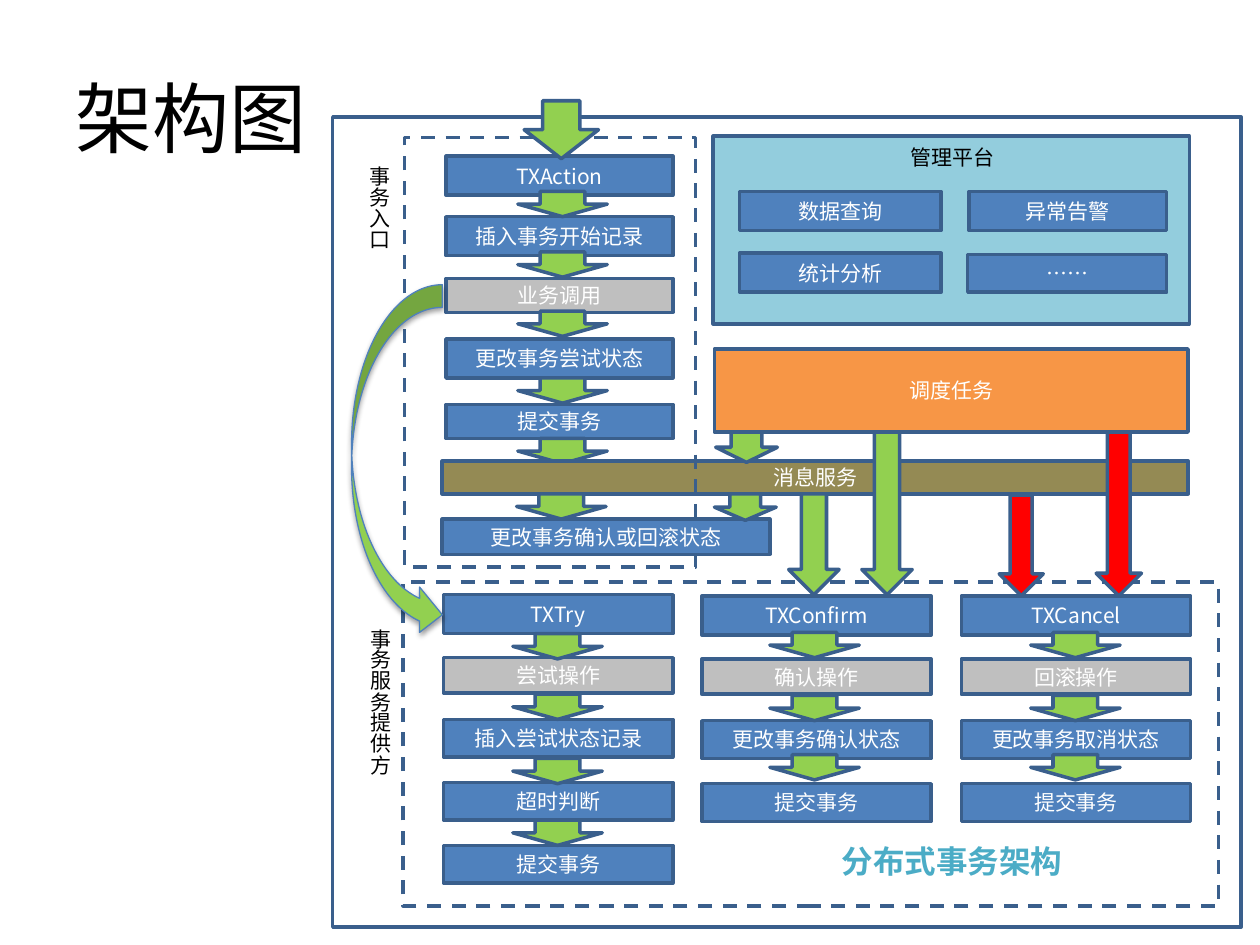
from lxml.etree import SubElement as Sub
from pptx import Presentation
from pptx.dml.color import RGBColor
from pptx.enum.dml import MSO_LINE as Dash
from pptx.enum.shapes import MSO_SHAPE as Kind
from pptx.enum.text import MSO_ANCHOR as Anchor, MSO_AUTO_SIZE as Fit, PP_ALIGN as Align
from pptx.oxml.ns import qn
from pptx.util import Pt

PX = 9144
FACE = "Noto Sans CJK SC"
BLUE, EDGE, GRAY = "4F81BD", "3A5F8C", "BFBFBF"
GREEN, RED, WHITE, BLACK = "92D050", "FF0000", "FFFFFF", "000000"

# Each flow: left, width, arrow left, rows of (text, top, height, fill), arrow tops
FLOWS = [
    (354, 180, 411,
     [("TXAction", 124, 31, BLUE), ("插入事务开始记录", 172, 31, BLUE),
      ("业务调用", 221, 27, GRAY), ("更改事务尝试状态", 269, 31, BLUE),
      ("提交事务", 321, 27, BLUE)],
     [152, 200, 247, 300, 348]),
    (352, 182, 407,
     [("TXTry", 472, 31, BLUE), ("尝试操作", 522, 28, GRAY),
      ("插入尝试状态记录", 571, 30, BLUE), ("超时判断", 621, 30, BLUE),
      ("提交事务", 671, 30, BLUE)],
     [503, 551, 602, 651]),
]
ENDS = [(557, 611, "TXConfirm", "确认操作", "更改事务确认状态"),
        (763, 818, "TXCancel", "回滚操作", "更改事务取消状态")]
for left, mid, head, work, state in ENDS:
    FLOWS.append((left, 182, mid,
                  [(head, 473, 31, BLUE), (work, 523, 28, GRAY),
                   (state, 572, 30, BLUE), ("提交事务", 622, 30, BLUE)],
                  [502, 552, 599]))

FRAMES = [((321, 109, 231, 341), True), ((320, 462, 647, 257), True),
          ((264, 93, 721, 643), False)]
TOOLS = [("数据查询", (587, 152, 160, 31)), ("异常告警", (769, 152, 157, 31)),
         ("统计分析", (587, 201, 160, 31)), ("……", (768, 202, 158, 30))]
LONG = [((626, 392, 40, 80), GREEN), ((793, 393, 35, 80), RED),
        ((684, 343, 40, 129), GREEN), ((870, 343, 36, 130), RED)]
SHORT = [(416, 80, 59, 46), (410, 392, 71, 20), (567, 392, 49, 21), (568, 343, 49, 24)]
SIDES = [("事务入口", (276, 122, 40, 99)), ("事务服务提供方", (277, 489, 40, 166))]


def rgb(code):
    return RGBColor.from_string(code)


def emu(spot):
    return [n * PX for n in spot]


def write(frame, text, size, color, align, bold=False):
    para = frame.paragraphs[0]
    para.text = text
    para.alignment = align
    font = para.font
    font.size, font.bold, font.name = Pt(size), bold, FACE
    font.color.rgb = rgb(color)
    Sub(font._element, qn("a:ea"), typeface=FACE)


def draw(kind, spot, fill=None, line=EDGE, width=2):
    shape = deck.add_shape(kind, *emu(spot))
    shape.shadow.inherit = False
    if fill:
        shape.fill.solid()
        shape.fill.fore_color.rgb = rgb(fill)
    else:
        shape.fill.background()
    shape.line.color.rgb = rgb(line)
    shape.line.width = Pt(width)
    return shape


def box(text, spot, fill=BLUE):
    frame = draw(Kind.RECTANGLE, spot, fill).text_frame
    frame.vertical_anchor = Anchor.MIDDLE
    write(frame, text, 12, WHITE, Align.CENTER)


def arrow(spot, fill=GREEN):
    draw(Kind.DOWN_ARROW, spot, fill)


def label(text, spot, size=12, color=BLACK, align=Align.CENTER, bold=False):
    shape = deck.add_textbox(*emu(spot))
    frame = shape.text_frame
    frame.word_wrap = False
    frame.auto_size = Fit.SHAPE_TO_FIT_TEXT
    write(frame, text, size, color, align, bold)
    return shape


show = Presentation()
show.slide_width, show.slide_height = emu((1000, 750))
page = show.slides.add_slide(show.slide_layouts[5])
deck = page.shapes

title = deck.title
title.left, title.top, title.width, title.height = emu((50, 30, 230, 125))
title.text_frame.vertical_anchor = Anchor.MIDDLE
write(title.text_frame, "架构图", 44, BLACK, Align.LEFT)

for left, wide, mid, rows, tops in FLOWS:
    for text, top, high, fill in rows:
        box(text, (left, top, wide, high), fill)
    for top in tops:
        arrow((mid, top, 71, 20))

box("消息服务", (351, 366, 592, 26), "948A54")
for spot, dashed in FRAMES:
    frame = draw(Kind.RECTANGLE, spot)
    if dashed:
        frame.line.dash_style = Dash.DASH

curve = draw(Kind.CURVED_RIGHT_ARROW, (279, 226, 72, 280), GREEN, BLUE, 0.75)
glow = curve._element.spPr.find(qn("a:effectLst"))
shade = Sub(glow, qn("a:outerShdw"), blurRad="40000", dist="20000",
            dir="5400000", rotWithShape="0")
Sub(Sub(shade, qn("a:srgbClr"), val=BLACK), qn("a:alpha"), val="38000")

draw(Kind.RECTANGLE, (566, 108, 378, 149), "93CDDD")
label("管理平台", (712, 110, 88, 30))
for text, spot in TOOLS:
    box(text, spot)

box("调度任务", (567, 277, 376, 66), "F79646")
for spot, fill in LONG:
    arrow(spot, fill)

name = label("分布式事务架构", (657, 663, 197, 40), 18, "4BACC6", bold=True)
name.fill.solid()
name.fill.fore_color.rgb = rgb(WHITE)

box("更改事务确认或回滚状态", (351, 412, 260, 28))
for text, spot in SIDES:
    side = label(text, spot, align=Align.LEFT)
    side.text_frame._txBody.bodyPr.set("vert", "eaVert")
for spot in SHORT:
    arrow(spot)

show.save("out.pptx")
